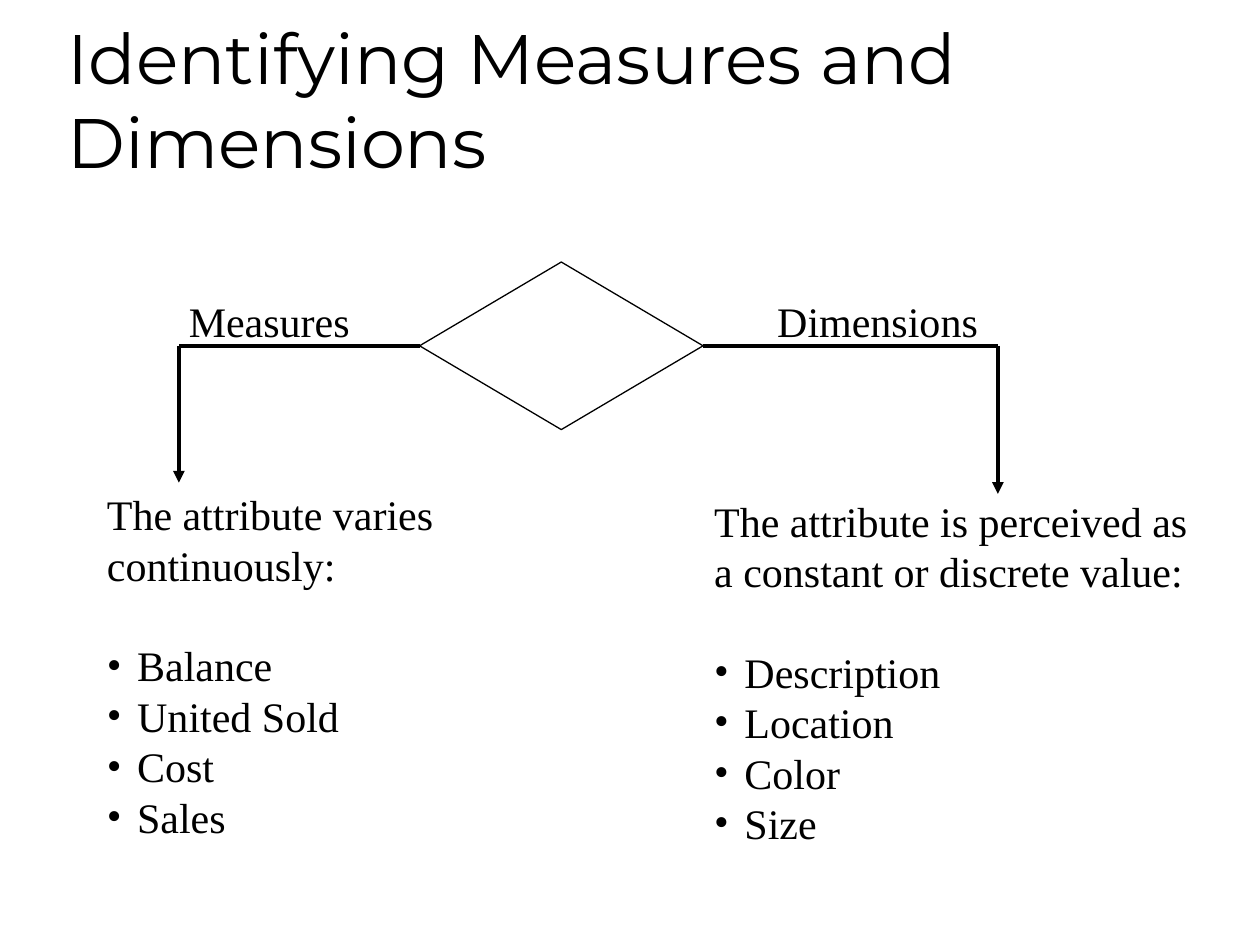
from dataclasses import dataclass

import pptx
import pptx.dml.color
import pptx.enum.shapes
import pptx.enum.text
import pptx.oxml
import pptx.oxml.ns
import pptx.util

Inches = pptx.util.Inches
Pt = pptx.util.Pt


@dataclass(frozen=True)
class Theme:
    ink: pptx.dml.color.RGBColor = pptx.dml.color.RGBColor(0, 0, 0)
    title_font: str = "Montserrat"
    body_font: str = "Times New Roman"
    title_size: float = 40
    body_size: float = 24
    body_leading: float = 28.8
    bullet_indent: float = 0.24
    outline: float = 0.75
    branch_line: float = 2.25


@dataclass(frozen=True)
class Box:
    left: float
    top: float
    width: float
    height: float

    @property
    def right(self):
        return self.left + self.width

    @property
    def middle(self):
        return self.top + self.height / 2

    def lengths(self):
        return [Inches(value) for value in (self.left, self.top, self.width, self.height)]


THEME = Theme()


def add_text(slide, box, lines, font, size):
    """Add a text box with one paragraph per line and return its text frame."""
    text_frame = slide.shapes.add_textbox(*box.lengths()).text_frame
    text_frame.word_wrap = True
    text_frame.text = "\n".join(lines)
    for paragraph in text_frame.paragraphs:
        for run in paragraph.runs:
            run.font.name = font
            run.font.size = Pt(size)
            run.font.color.rgb = THEME.ink
    return text_frame


def add_body(slide, box, lines):
    text_frame = add_text(slide, box, lines, THEME.body_font, THEME.body_size)
    for paragraph in text_frame.paragraphs:
        paragraph.line_spacing = Pt(THEME.body_leading)
    return text_frame


def add_bullet(paragraph):
    properties = paragraph._p.get_or_add_pPr()
    indent = Inches(THEME.bullet_indent)
    properties.set("marL", str(indent))
    properties.set("indent", str(-indent))
    namespace = pptx.oxml.ns.nsdecls("a")
    properties.append(pptx.oxml.parse_xml(f'<a:buFont {namespace} typeface="{THEME.body_font}"/>'))
    properties.append(pptx.oxml.parse_xml(f'<a:buChar {namespace} char="•"/>'))


def add_line(slide, start, end, arrow=False):
    connector = slide.shapes.add_connector(
        pptx.enum.shapes.MSO_CONNECTOR.STRAIGHT,
        *[Inches(value) for value in (*start, *end)])
    connector.line.color.rgb = THEME.ink
    connector.line.width = Pt(THEME.branch_line)
    namespace = pptx.oxml.ns.nsdecls("a")
    if arrow:
        connector.line._get_or_add_ln().append(
            pptx.oxml.parse_xml(f'<a:tailEnd {namespace} type="triangle"/>'))
    connector._element.spPr.append(pptx.oxml.parse_xml(f"<a:effectLst {namespace}/>"))


def add_title(slide, box, title):
    text_frame = add_text(slide, box, [title], THEME.title_font, THEME.title_size)
    text_frame.vertical_anchor = pptx.enum.text.MSO_ANCHOR.BOTTOM


def add_decision(slide, box):
    diamond = slide.shapes.add_shape(
        pptx.enum.shapes.MSO_SHAPE.FLOWCHART_DECISION, *box.lengths())
    diamond.shadow.inherit = False
    diamond.fill.background()
    diamond.line.color.rgb = THEME.ink
    diamond.line.width = Pt(THEME.outline)


def add_branch(slide, start, end, label_box, label):
    """Run a line sideways from start, then an arrow down to end, under a label."""
    corner = (end[0], start[1])
    add_line(slide, start, corner)
    add_line(slide, corner, end, arrow=True)
    add_body(slide, label_box, [label])


def add_examples(slide, box, description, examples):
    """Write a description and, one line below it, its bulleted examples."""
    text_frame = add_body(slide, box, description + examples)
    bullets = text_frame.paragraphs[len(description):]
    bullets[0].space_before = Pt(THEME.body_leading)
    for paragraph in bullets:
        add_bullet(paragraph)


def main():
    presentation = pptx.Presentation()
    presentation.slide_width = Inches(10)
    presentation.slide_height = Inches(7.5)
    slide = presentation.slides.add_slide(presentation.slide_layouts[6])

    add_title(slide, Box(0.44, 0.25, 8.5, 1.25), "Identifying Measures and Dimensions")

    decision = Box(3.33, 2.08, 2.25, 1.33)
    add_decision(slide, decision)
    add_branch(slide, (decision.left, decision.middle), (1.42, 3.83),
               Box(1.4, 2.3, 1.55, 0.5), "Measures")
    add_branch(slide, (decision.right, decision.middle), (7.92, 3.92),
               Box(6.07, 2.3, 1.85, 0.5), "Dimensions")

    add_examples(slide, Box(0.75, 3.83, 2.85, 3.3),
                 ["The attribute varies", "continuously:"],
                 ["Balance", "United Sold", "Cost", "Sales"])
    add_examples(slide, Box(5.57, 3.88, 4.05, 3.3),
                 ["The attribute is perceived as", "a constant or discrete value:"],
                 ["Description", "Location", "Color", "Size"])

    presentation.save("out.pptx")


if __name__ == "__main__":
    main()
